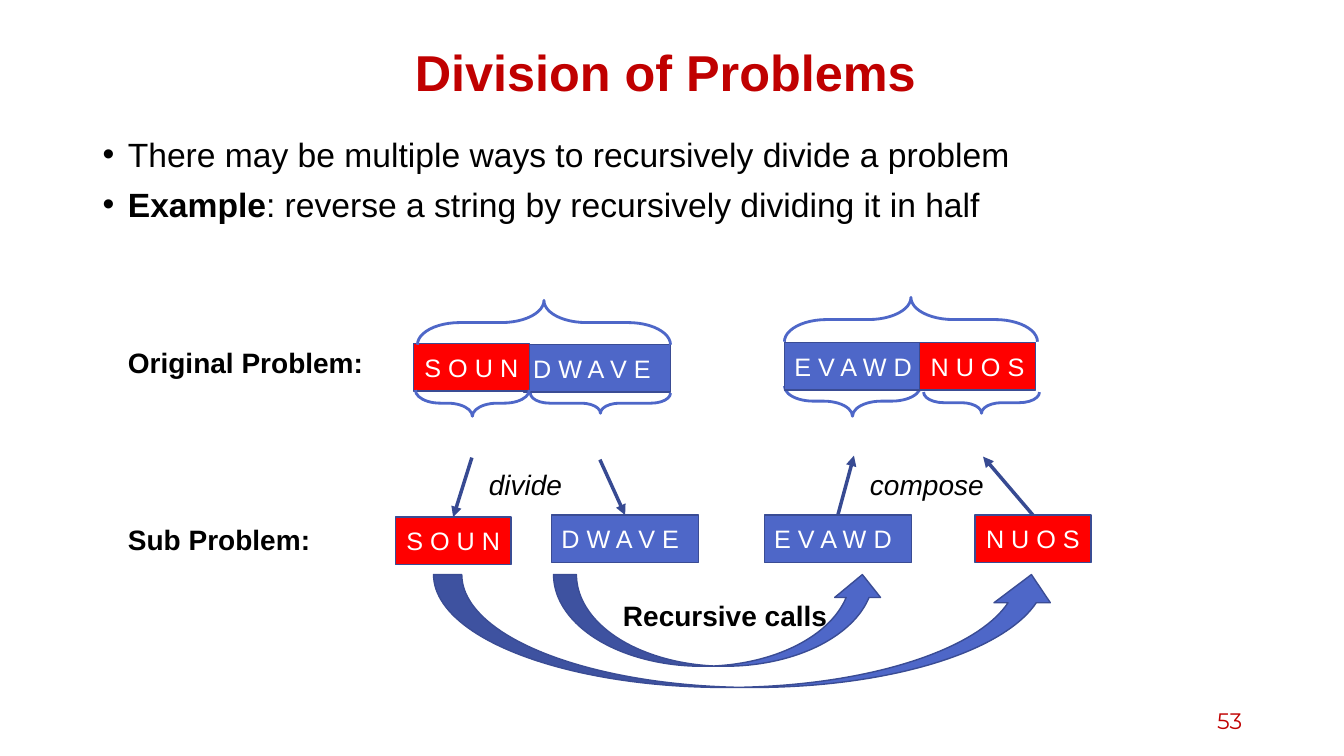
import pptx
import pptx.util
import pptx.dml.color
import pptx.enum.shapes
import pptx.enum.text
import pptx.oxml.ns
from lxml import etree

Inches, Pt = pptx.util.Inches, pptx.util.Pt
SHAPE = pptx.enum.shapes.MSO_SHAPE
ALIGN = pptx.enum.text.PP_ALIGN
ANCHOR = pptx.enum.text.MSO_ANCHOR
qn = pptx.oxml.ns.qn

COLORS = {"title": "C00000", "text": "000000", "white": "FFFFFF", "blue": "4E67C8",
          "red": "FF0000", "edge": "3A4C94", "arrow": "374A92"}
TITLE = "Division of Problems "
BULLETS = [[("There may be multiple ways to recursively divide a problem", False)],
           [("Example", True), (": reverse a string by recursively dividing it in half", False)]]
BOX_H = 0.47
WIDTHS = {"blue": 1.46, "red": 1.15}
# text, colour, left, top
SPLIT = [("D W A V E", "blue", 5.19, 3.42), ("S O U N", "red", 4.1, 3.41)]
JOINED = [("E V A W D", "blue", 7.78, 3.4), ("N U O S", "red", 9.12, 3.4)]
# text, colour, left, top, free end of the arrow, whether it points at the box
PARTS = [("D W A V E", "blue", 5.47, 5.11, (5.95, 4.56), True),
         ("S O U N", "red", 3.92, 5.13, (4.68, 4.54), True),
         ("E V A W D", "blue", 7.58, 5.11, (8.47, 4.52), False),
         ("N U O S", "red", 9.67, 5.11, (9.75, 4.53), False)]
# left, top, width, height as seen, rotation
BRACES = [(4.14, 2.98, 2.51, 0.44, 270), (5.26, 3.9, 1.39, 0.2, 90),
          (4.12, 3.87, 1.13, 0.26, 90), (7.78, 3.83, 1.35, 0.3, 90),
          (9.16, 3.89, 1.15, 0.21, 90), (7.78, 2.95, 2.51, 0.44, 270)]
CURVES = [(5.49, 5.7, 3.29, 0.91), (4.3, 5.7, 6.21, 1.12)]
# text, left, top, width, bold
LABELS = [("Original Problem:", 1.17, 3.38, 2.75, True),
          ("Sub Problem:", 1.17, 5.13, 2.75, True),
          ("Recursive calls", 6.08, 5.89, 2.39, True),
          ("divide", 4.75, 4.59, 1.14, False),
          ("compose", 8.53, 4.59, 1.48, False)]

deck = pptx.Presentation()
deck.slide_width, deck.slide_height = Inches(13.33), Inches(7.5)
slide = deck.slides.add_slide(deck.slide_layouts[6])
shapes = slide.shapes


def color(name):
    return pptx.dml.color.RGBColor.from_string(COLORS[name])


def style(run, size, tint, bold=False, italic=False, face="Arial"):
    font = run.font
    font.name, font.size, font.bold, font.italic = face, Pt(size), bold, italic
    font.color.rgb = color(tint)


def add_text(text, left, top, width, height, size, tint="text", align=ALIGN.LEFT,
             anchor=ANCHOR.TOP, **looks):
    frame = shapes.add_textbox(*map(Inches, (left, top, width, height))).text_frame
    frame.word_wrap = True
    frame.vertical_anchor = anchor
    para = frame.paragraphs[0]
    para.text, para.alignment = text, align
    for run in para.runs:
        style(run, size, tint, **looks)
    return frame


def add_shape(kind, left, top, width, height, edge, weight, fill=None):
    shape = shapes.add_shape(kind, *map(Inches, (left, top, width, height)))
    shape.shadow.inherit = False
    if fill:
        shape.fill.solid()
        shape.fill.fore_color.rgb = color(fill)
    else:
        shape.fill.background()
    shape.line.color.rgb = color(edge)
    shape.line.width = Pt(weight)
    return shape


def add_box(text, fill, left, top):
    box = add_shape(SHAPE.RECTANGLE, left, top, WIDTHS[fill], BOX_H, "edge", 1, fill)
    frame = box.text_frame
    frame.text = text
    frame.vertical_anchor = ANCHOR.MIDDLE
    para = frame.paragraphs[0]
    para.alignment = ALIGN.CENTER if fill == "red" else ALIGN.LEFT
    style(para.runs[0], 18, "white")
    return box


def add_brace(left, top, width, height, turn):
    """Place a right brace so that, once turned, it covers the given area."""
    x, y = left + (width - height) / 2, top + (height - width) / 2
    brace = add_shape(SHAPE.RIGHT_BRACE, x, y, height, width, "blue", 2)
    brace.adjustments[0], brace.adjustments[1] = 0.954, 0.5
    brace.rotation = turn


def add_arrow(box, free, inward):
    """Link the top of a box with a free point, pointing at the box if inward."""
    x, y = map(Inches, free)
    line = shapes.add_connector(pptx.enum.shapes.MSO_CONNECTOR.STRAIGHT, x, y, x, y)
    join = line.end_connect if inward else line.begin_connect
    join(box, 0)
    line.line.color.rgb = color("arrow")
    line.line.width = Pt(2.5)
    etree.SubElement(line.line._get_or_add_ln(), qn("a:tailEnd"), type="triangle")
    etree.SubElement(line._element.spPr, qn("a:effectLst"))


add_text(TITLE, 0.92, 0.4, 11.5, 0.7, 36, "title", ALIGN.CENTER, ANCHOR.MIDDLE,
         bold=True).paragraphs[0].line_spacing = 0.9

body = add_text("", 0.92, 1.32, 11.5, 1.2, 24)
for i, parts in enumerate(BULLETS):
    para = body.add_paragraph() if i else body.paragraphs[0]
    para.line_spacing = 0.9
    para.space_before = Pt(10 if i else 0)
    props = para._p.get_or_add_pPr()
    props.set("marL", str(Inches(0.25)))
    props.set("indent", str(-Inches(0.25)))
    etree.SubElement(props, qn("a:buFont"), typeface="Arial")
    etree.SubElement(props, qn("a:buChar"), char="•")
    for text, bold in parts:
        run = para.add_run()
        run.text = text
        style(run, 24, "text", bold)

add_text("53", 9.42, 6.95, 3, 0.4, 16, "title", ALIGN.RIGHT, ANCHOR.MIDDLE,
         face="Montserrat")

for box in SPLIT:
    add_box(*box)
for brace in BRACES:
    add_brace(*brace)
for box in JOINED:
    add_box(*box)
for *box, free, inward in PARTS:
    add_arrow(add_box(*box), free, inward)
for curve in CURVES:
    add_shape(SHAPE.CURVED_UP_ARROW, *curve, "edge", 1, "blue")
for text, left, top, width, bold in LABELS:
    add_text(text, left, top, width, 0.44, 20, bold=bold, italic=not bold)

deck.save("out.pptx")
